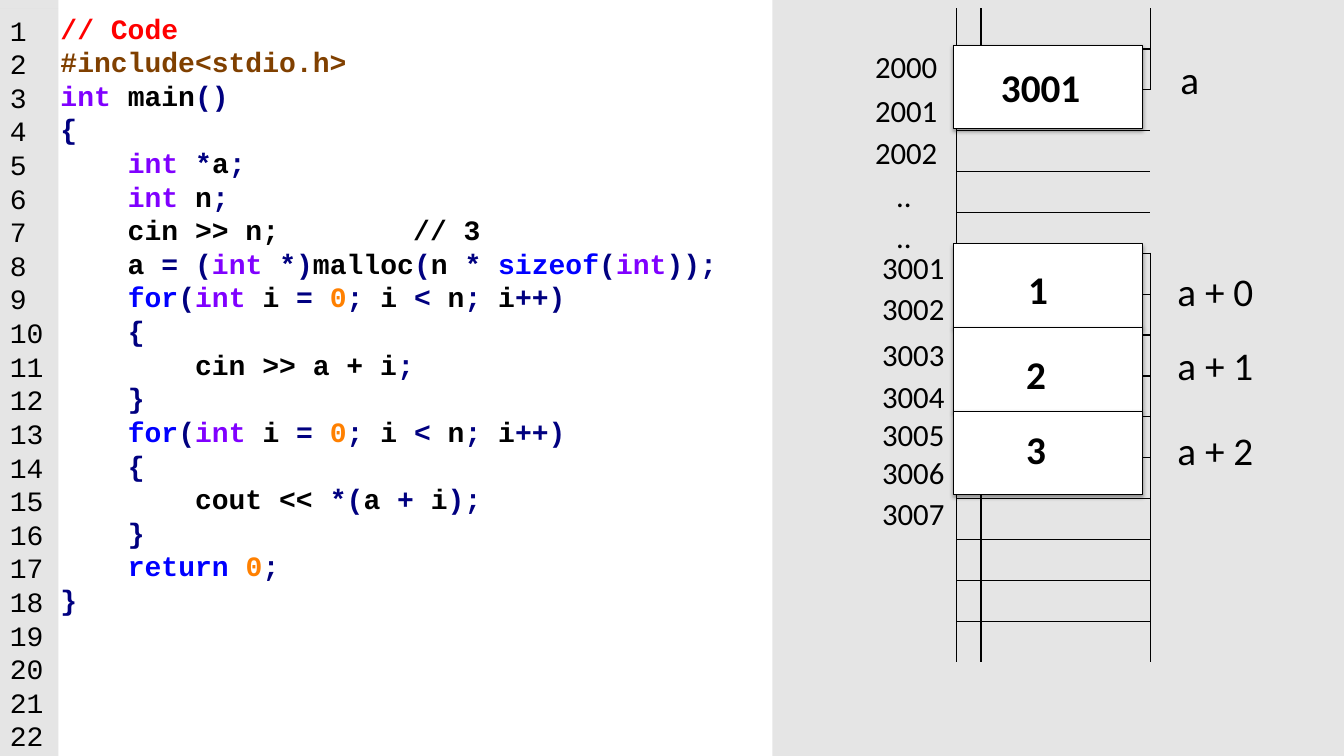
from itertools import groupby

from lxml import etree
from pptx import Presentation
from pptx.dml.color import RGBColor
from pptx.enum import shapes, text
from pptx.oxml import ns, parse_xml
from pptx.util import Inches, Pt

BLACK = RGBColor(0x00, 0x00, 0x00)
WHITE = RGBColor(0xFF, 0xFF, 0xFF)
RED = RGBColor(0xFF, 0x00, 0x00)
BROWN = RGBColor(0x80, 0x40, 0x00)
PURPLE = RGBColor(0x80, 0x00, 0xFF)
NAVY = RGBColor(0x00, 0x00, 0x80)
BLUE = RGBColor(0x00, 0x00, 0xFF)
ORANGE = RGBColor(0xFF, 0x80, 0x00)
GUTTER_GRAY = RGBColor(0xD9, 0xD9, 0xD9)
PANEL_GRAY = RGBColor(0xE5, 0xE5, 0xE5)

MONO, SANS = "Courier New", "Calibri"
WORD_COLORS = {"int": PURPLE, "for": BLUE, "return": BLUE, "sizeof": BLUE, "0": ORANGE}
LOOP = "    for(int i = 0; i < n; i++)"

CODE = [
    [("// Code", RED)],
    [("#include<stdio.h>", BROWN)],
    [("int main()", None)],
    [("{", None)],
    [("    int *a;", None)],
    [("    int n;", None)],
    [("    cin >> n;", BLACK)],
    [("    a = (int *)malloc(n * sizeof(int));", None)],
    [(LOOP, None)],
    [("    {", None)],
    [("        cin >> a + i", BLACK), (";", None)],
    [("    }", None)],
    [(LOOP, None)],
    [("    {", None)],
    [("        cout << ", BLACK), ("*(a + i);", None)],
    [("    }", None)],
    [("    return 0;", None)],
    [("}", None)],
]
LINE_COUNT = 22

ADDRESSES = [
    ("2000", 8.58, 0.42), ("2001", 8.58, 0.86), ("2002", 8.58, 1.28),
    ("..", 8.79, 1.7), ("..", 8.79, 2.11),
    ("3001", 8.65, 2.42), ("3002", 8.65, 2.83), ("3003", 8.65, 3.28),
    ("3004", 8.65, 3.7), ("3005", 8.65, 4.08), ("3006", 8.65, 4.45),
    ("3007", 8.65, 4.86),
]
BLOCK_TOPS = [0.45, 2.42, 3.25, 4.08]
VALUES = [
    ("3001", 9.83, 0.58, 1), ("1", 10.1, 2.58, 0.4),
    ("2", 10.08, 3.43, 0.4), ("3", 10.08, 4.17, 0.4),
]
POINTERS = [
    ("a", 11.61, 0.5, 0.39), ("a + 0", 11.58, 2.6, 0.96),
    ("a + 1", 11.58, 3.34, 0.96), ("a + 2", 11.58, 4.18, 0.96),
]
ROWS, COLUMNS = 16, 9
MERGED_ROWS = range(2, 6)
NO_GRID_STYLE = "{2D5ABB26-0587-4C30-8999-92F81FD0307C}"


def add_rectangle(slide, left, top, width, height, color):
    shape = slide.shapes.add_shape(
        shapes.MSO_SHAPE.RECTANGLE,
        Inches(left), Inches(top), Inches(width), Inches(height))
    shape.shadow.inherit = False
    shape.fill.solid()
    shape.fill.fore_color.rgb = color
    shape.line.fill.background()
    return shape


def make_translucent(shape, percent):
    color = shape._element.spPr.find(".//" + ns.qn("a:srgbClr"))
    etree.SubElement(color, ns.qn("a:alpha"), val=str(percent * 1000))


def set_font(font, name, size, bold=False):
    font.name, font.size, font.bold = name, Pt(size), bold
    font.color.rgb = BLACK


def add_label(slide, label, left, top, width, height, size, name=SANS, bold=False):
    box = slide.shapes.add_textbox(
        Inches(left), Inches(top), Inches(width), Inches(height))
    box.text_frame.word_wrap = False
    paragraph = box.text_frame.paragraphs[0]
    paragraph.text = label
    set_font(paragraph.font, name, size, bold)


def character_kind(character):
    if character.isspace():
        return "space"
    return "word" if character.isalnum() else "sign"


def color_tokens(segment, color):
    if color is not None:
        return [(segment, color)]
    tokens = []
    for kind, characters in groupby(segment, character_kind):
        token = "".join(characters)
        tokens.append((token, NAVY if kind == "sign" else WORD_COLORS.get(token, BLACK)))
    return tokens


def listing_paragraphs(shape, left, top, count, bold):
    frame = shape.text_frame
    frame.word_wrap = True
    frame.vertical_anchor = text.MSO_ANCHOR.TOP
    frame.margin_left, frame.margin_top = Inches(left), Inches(top)
    frame.margin_bottom = Inches(1)
    for index in range(count):
        paragraph = frame.paragraphs[0] if index == 0 else frame.add_paragraph()
        paragraph.alignment = text.PP_ALIGN.LEFT
        paragraph.line_spacing = Pt(24)
        set_font(paragraph.font, MONO, 20, bold)
        yield index, paragraph


def add_code(slide):
    page = add_rectangle(slide, 0, 0, 7.66, 7.5, WHITE)
    for index, paragraph in listing_paragraphs(page, 0.6, 0.11, len(CODE), True):
        for segment, fixed_color in CODE[index]:
            for token, color in color_tokens(segment, fixed_color):
                run = paragraph.add_run()
                run.text = token
                run.font.color.rgb = color


def add_gutter(slide):
    make_translucent(add_rectangle(slide, 0, 0, 0.58, 0.08, GUTTER_GRAY), 68)
    gutter = add_rectangle(slide, 0, 0.08, 0.58, 7.42, GUTTER_GRAY)
    make_translucent(gutter, 68)
    for index, paragraph in listing_paragraphs(gutter, 0.1, 0.05, LINE_COUNT, False):
        paragraph.text = str(index + 1)


def cell_sides(row, column):
    if column == 0:
        return ["R"]
    rules = [("L", column == 1), ("R", column == COLUMNS - 1),
             ("T", row > 0), ("B", row < ROWS - 1)]
    return [side for side, drawn in rules if drawn]


def add_memory(slide):
    frame = slide.shapes.add_table(
        ROWS, COLUMNS, Inches(9.25), Inches(0.08), Inches(2.16), Inches(6.4))
    table = frame.table
    table.first_row = table.horz_banding = False
    table._tbl.tblPr.find(ns.qn("a:tableStyleId")).text = NO_GRID_STYLE
    for row in range(ROWS):
        for column in range(COLUMNS):
            cell = table.cell(row, column)
            properties = cell._tc.get_or_add_tcPr()
            for side in cell_sides(row, column):
                properties.append(parse_xml(
                    f'<a:ln{side} {ns.nsdecls("a")} w="12700"><a:solidFill>'
                    f'<a:srgbClr val="{BLACK}"/></a:solidFill></a:ln{side}>'))
            cell.fill.background()
    for row in MERGED_ROWS:
        table.cell(row, 1).merge(table.cell(row, COLUMNS - 1))


def add_block(slide, top):
    block = add_rectangle(slide, 9.46, top, 1.87, 0.83, WHITE)
    block.line.color.rgb = BLACK
    block.line.width = Pt(0.75)
    effects = block._element.spPr.find(ns.qn("a:effectLst"))
    effects.append(parse_xml(
        f'<a:outerShdw {ns.nsdecls("a")} blurRad="{Pt(3.1)}" dist="{Pt(1.6)}" '
        f'dir="5400000" rotWithShape="0"><a:srgbClr val="{BLACK}">'
        '<a:alpha val="38000"/></a:srgbClr></a:outerShdw>'))


def main():
    presentation = Presentation()
    presentation.slide_width, presentation.slide_height = Inches(13.33), Inches(7.5)
    slide = presentation.slides.add_slide(presentation.slide_layouts[6])
    add_code(slide)
    add_gutter(slide)
    add_rectangle(slide, 7.66, 0, 5.67, 7.5, PANEL_GRAY)
    add_memory(slide)
    for address, left, top in ADDRESSES:
        add_label(slide, address, left, top, 1.08, 0.47, 22)
    for top in BLOCK_TOPS:
        add_block(slide, top)
    for labels, bold in ((VALUES, True), (POINTERS, False)):
        for label, left, top, width in labels:
            add_label(slide, label, left, top, width, 0.57, 28, bold=bold)
    add_label(slide, "// 3", 4, 2.06, 0.88, 0.44, 20, MONO, True)
    presentation.save("out.pptx")


if __name__ == "__main__":
    main()
